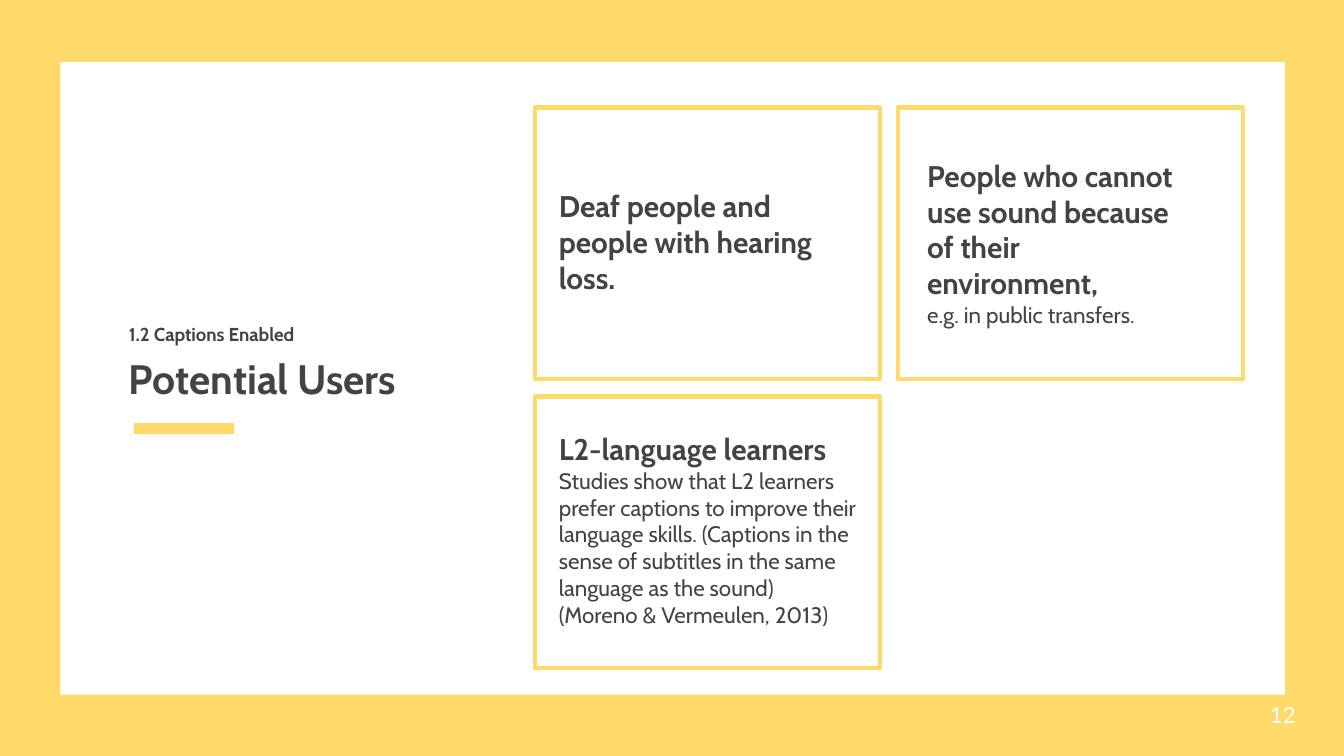
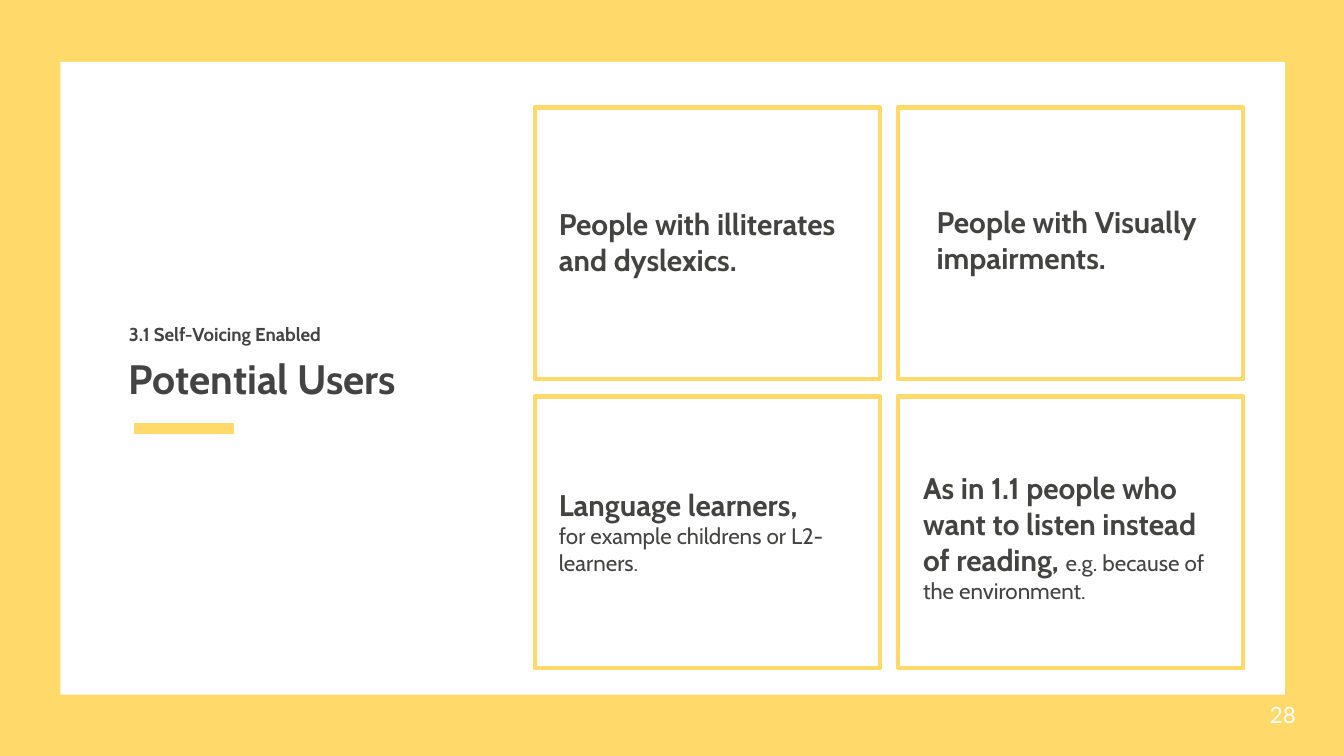
from dataclasses import dataclass

from lxml import etree
from pptx import Presentation
from pptx.dml.color import RGBColor
from pptx.enum.shapes import MSO_CONNECTOR, MSO_SHAPE
from pptx.enum.text import MSO_ANCHOR
from pptx.oxml.ns import qn
from pptx.util import Pt

PX = 9144  # EMU per px, 100 px to the inch
SLIDE_WIDTH = 1000 * PX
SLIDE_HEIGHT = SLIDE_WIDTH * 9 // 16
RECTANGLE = MSO_SHAPE.RECTANGLE
STRAIGHT = MSO_CONNECTOR.STRAIGHT
TOP, MIDDLE = MSO_ANCHOR.TOP, MSO_ANCHOR.MIDDLE


@dataclass(frozen=True)
class Theme:
    accent: RGBColor = RGBColor(0xFF, 0xD9, 0x69)
    paper: RGBColor = RGBColor(0xFF, 0xFF, 0xFF)
    ink: RGBColor = RGBColor(0x43, 0x43, 0x43)
    card_ink: RGBColor = RGBColor(0x43, 0x43, 0x42)
    font: str = "Cabin"
    number_font: str = "Lato"
    title: int = 22
    heading: int = 16
    detail: int = 12
    section: int = 10
    card_line: float = 2.25
    rule_line: float = 6
    inset: int = 10


# Card grid
GRID_LEFT, GRID_TOP = 398, 80
CARD_WIDTH, CARD_HEIGHT = 257, 202
GAP = 13


class Deck:
    def __init__(self, theme):
        self.theme = theme
        self.presentation = Presentation()
        self.presentation.slide_width = SLIDE_WIDTH
        self.presentation.slide_height = SLIDE_HEIGHT
        self.slide = None

    def new_slide(self):
        self.slide = self.presentation.slides.add_slide(
            self.presentation.slide_layouts[6])
        background = self.slide.background.fill
        background.solid()
        background.fore_color.rgb = self.theme.accent

    def panel(self, left, top, width, height, fill=None, line=None):
        shape = self.slide.shapes.add_shape(
            RECTANGLE, left * PX, top * PX, width * PX, height * PX)
        shape.shadow.inherit = False
        if fill is None:
            shape.fill.background()
        else:
            shape.fill.solid()
            shape.fill.fore_color.rgb = fill
        if line is None:
            shape.line.fill.background()
        else:
            shape.line.color.rgb = line
            shape.line.width = Pt(self.theme.card_line)

    def rule(self, left, right, y):
        connector = self.slide.shapes.add_connector(
            STRAIGHT, left * PX, y * PX, right * PX, y * PX)
        connector.line.color.rgb = self.theme.accent
        connector.line.width = Pt(self.theme.rule_line)
        etree.SubElement(connector._element.spPr, qn("a:effectLst"))

    def text(self, box, paragraphs, anchor=MIDDLE, spacing=None,
             font=None, color=None, bottom_inset=None):
        """Each paragraph is a list of (text, size, bold) runs."""
        theme = self.theme
        frame = self.slide.shapes.add_textbox(*(n * PX for n in box)).text_frame
        frame.word_wrap = True
        frame.vertical_anchor = anchor
        frame.margin_left = frame.margin_right = frame.margin_top = theme.inset * PX
        frame.margin_bottom = (bottom_inset or theme.inset) * PX
        for index, runs in enumerate(paragraphs):
            paragraph = frame.add_paragraph() if index else frame.paragraphs[0]
            if spacing:
                paragraph.line_spacing = spacing
            for content, size, bold in runs:
                for part, words in enumerate(content.split("\n")):
                    if part:
                        paragraph.add_line_break()
                    run = paragraph.add_run()
                    run.text = words
                    run.font.name = font or theme.font
                    run.font.size = Pt(size)
                    run.font.bold = bold
                    run.font.color.rgb = color or theme.ink

    def card(self, index, box, paragraphs, bottom_inset=None):
        row, column = divmod(index, 2)
        self.panel(GRID_LEFT + column * (CARD_WIDTH + GAP),
                   GRID_TOP + row * (CARD_HEIGHT + GAP),
                   CARD_WIDTH, CARD_HEIGHT, line=self.theme.accent)
        self.text(box, paragraphs, color=self.theme.card_ink,
                  bottom_inset=bottom_inset)

    def users_slide(self, number, section, cards):
        theme = self.theme
        self.new_slide()
        # Frame and title rule
        self.panel(45, 46, 911, 471, fill=theme.paper)
        self.rule(100, 174, 319)
        # User groups
        for index, card in enumerate(cards):
            self.card(index, *card)
        # Title, section and page number
        self.text((86, 190, 278, 182), [[("Potential Users", theme.title, True)]])
        self.text((86, 228, 369, 37), [[(section, theme.section, True)]],
                  anchor=TOP, spacing=1.15)
        self.text((935, 510, 60, 43), [[(number, theme.detail, False)]],
                  font=theme.number_font, color=theme.paper)


def main():
    theme = Theme()
    deck = Deck(theme)

    def heading(words):
        return words, theme.heading, True

    def detail(words):
        return words, theme.detail, False

    # Captions
    deck.users_slide("12", "1.2 Captions Enabled", [
        ((406, 118, 237, 124),
         [[heading("Deaf people and people with hearing loss.")]]),
        ((680, 97, 218, 167),
         [[heading("People who cannot use sound because of their environment,")],
          [detail("e.g. in public transfers.")]]),
        ((406, 303, 249, 202),
         [[heading("L2-language learners")],
          [detail("Studies show that L2 learners prefer captions to improve "
                  "their language skills. (Captions in the sense of subtitles "
                  "in the same language as the sound)\n"
                  "(Moreno & Vermeulen, 2013)")]], 30),
    ])

    # Self-voicing
    deck.users_slide("28", "3.1 Self-Voicing Enabled", [
        ((406, 118, 237, 124),
         [[heading("People with illiterates and dyslexics.")]]),
        ((687, 118, 218, 120),
         [[heading("People with Visually impairments.")]]),
        ((406, 328, 230, 155),
         [[heading("Language learners,")],
          [detail("for example childrens or L2-learners.")]], 30),
        ((677, 316, 230, 167),
         [[heading("As in 1.1 people who want to listen instead of reading, "),
           detail("e.g. because of the environment.")]]),
    ])

    deck.presentation.save("out.pptx")


if __name__ == "__main__":
    main()
